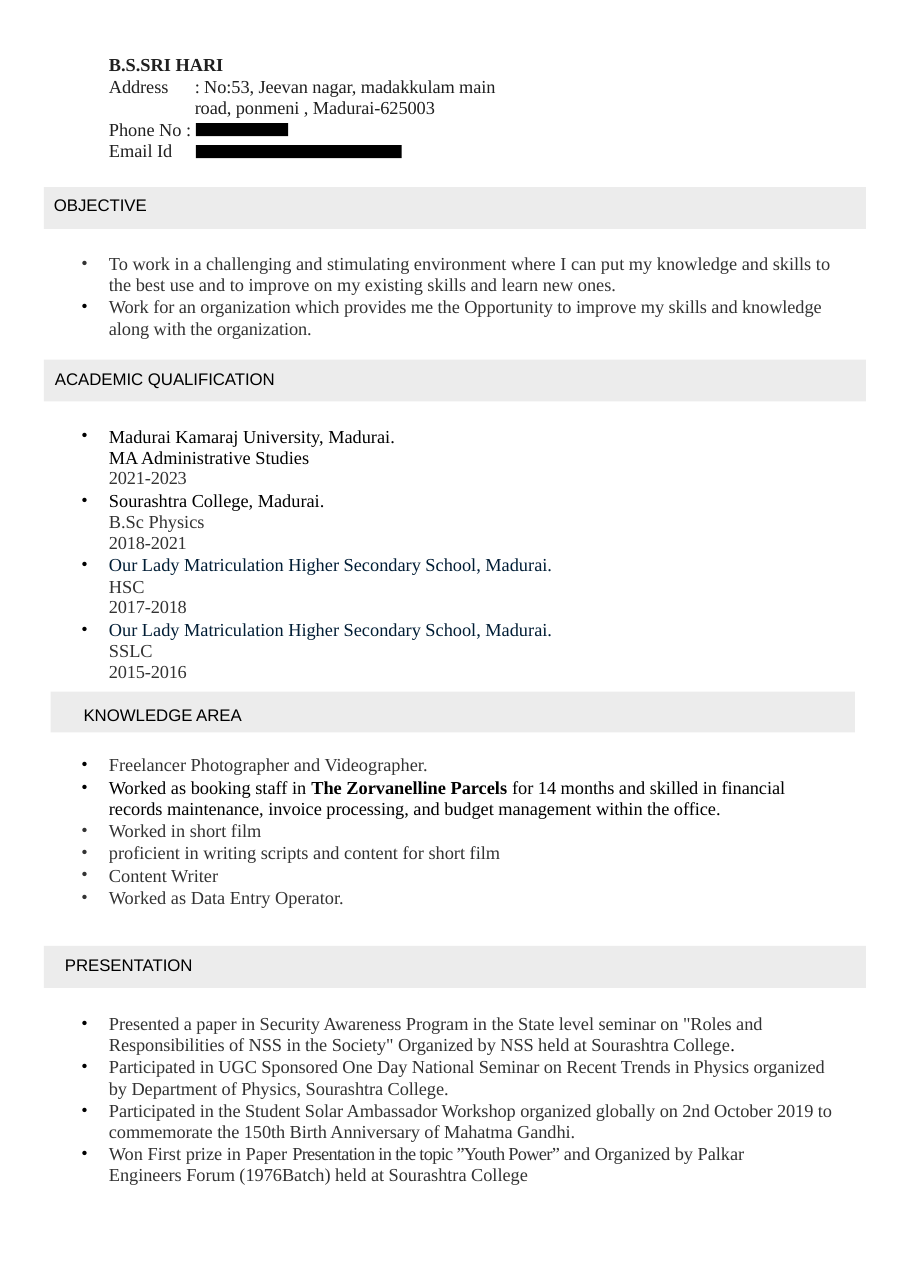
from dataclasses import dataclass

from lxml.etree import SubElement
from pptx import Presentation
from pptx.dml.color import RGBColor
from pptx.enum.shapes import MSO_SHAPE
from pptx.enum.text import MSO_ANCHOR, PP_ALIGN
from pptx.oxml.ns import qn
from pptx.util import Inches, Pt

BLACK = RGBColor(0x00, 0x00, 0x00)
INK = RGBColor(0x20, 0x20, 0x20)
GREY = RGBColor(0x33, 0x33, 0x33)
NAVY = RGBColor(0x00, 0x1D, 0x35)
BAND = RGBColor(0xEC, 0xEC, 0xEC)


@dataclass
class Run:
    """A piece of text with its own look."""
    text: str
    color: RGBColor = GREY
    tracking: float = 0
    bold: bool = False


@dataclass
class Line:
    """A paragraph: its runs, spacing in points and indents in inches."""
    runs: list
    bullet: RGBColor = None
    spacing: float = 13.8
    before: float = 0
    margin: float = 0.26
    hanging: float = 0
    tab: float = None


class Resume:
    """Draws resume parts at percentages of the slide's size."""

    def __init__(self, presentation):
        """Add the blank page to draw on."""
        self.width = presentation.slide_width
        self.height = presentation.slide_height
        self.slide = presentation.slides.add_slide(presentation.slide_layouts[6])

    def place(self, left, top, width, height):
        """Turn percentages into lengths."""
        return (int(self.width * left / 100), int(self.height * top / 100),
                int(self.width * width / 100), int(self.height * height / 100))

    def bar(self, area, color):
        """Add a plain filled rectangle."""
        shape = self.slide.shapes.add_shape(MSO_SHAPE.RECTANGLE, *self.place(*area))
        shape.shadow.inherit = False
        shape.fill.solid()
        shape.fill.fore_color.rgb = color
        shape.line.fill.background()
        return shape

    def frame(self, shape, inset):
        """Prepare the text frame of a shape."""
        frame = shape.text_frame
        frame.word_wrap = True
        frame.vertical_anchor = MSO_ANCHOR.TOP
        frame.margin_left = frame.margin_right = frame.margin_bottom = 0
        frame.margin_top = Inches(inset)
        return frame

    def add_run(self, paragraph, run, font_name, size):
        """Write one run, breaking the line at each newline."""
        for index, text in enumerate(run.text.split("\n")):
            if index:
                paragraph.add_line_break()
            piece = paragraph.add_run()
            piece.text = text
            font = piece.font
            font.name, font.size, font.bold = font_name, Pt(size), run.bold
            font.color.rgb = run.color
            if run.tracking:
                font._element.set("spc", str(round(run.tracking * 100)))

    def heading(self, title, area, inset, indent):
        """Add a section band with its title."""
        paragraph = self.frame(self.bar(area, BAND), inset).paragraphs[0]
        paragraph.alignment = PP_ALIGN.LEFT
        paragraph._p.get_or_add_pPr().set("marL", str(Inches(indent)))
        self.add_run(paragraph, Run(title, BLACK, -0.05), "Arial", 11)

    def text(self, lines, area, inset=0.03):
        """Add a text box with one paragraph for each line."""
        box = self.slide.shapes.add_textbox(*self.place(*area))
        frame = self.frame(box, inset)
        for index, line in enumerate(lines):
            paragraph = frame.add_paragraph() if index else frame.paragraphs[0]
            paragraph.space_before = Pt(line.before)
            if line.spacing:
                paragraph.line_spacing = Pt(line.spacing)
            properties = paragraph._p.get_or_add_pPr()
            hanging = 0.25 if line.bullet is not None else line.hanging
            properties.set("marL", str(Inches(line.margin)))
            properties.set("indent", str(Inches(-hanging)))
            if line.bullet is not None:
                color = SubElement(properties, qn("a:buClr"))
                SubElement(color, qn("a:srgbClr"), val=str(line.bullet))
                SubElement(properties, qn("a:buFont"), typeface="Times New Roman")
                SubElement(properties, qn("a:buChar"), char="•")
            if line.tab:
                tabs = SubElement(properties, qn("a:tabLst"))
                SubElement(tabs, qn("a:tab"), pos=str(Inches(line.tab)), algn="l")
            for run in line.runs:
                self.add_run(paragraph, run, "Times New Roman", 12)


CONTACT = [
    Line([Run("B.S.SRI HARI", INK, bold=True)], spacing=14.1, margin=0.01),
    Line([Run("Address\t: No:53, Jeevan nagar, madakkulam main\n"
              "road, ponmeni , Madurai-625003", INK, -0.05)],
         before=0.7, margin=0.79, hanging=0.78, tab=0.72),
    Line([Run("Phone No :\nEmail Id\t:", INK)], margin=0.01, tab=0.71),
]
OBJECTIVE = [
    Line([Run("To work in a challenging and stimulating environment where I can put "
              "my knowledge and skills to\nthe best use and to improve on my existing "
              "skills and learn new ones.")], GREY),
    Line([Run("Work for an organization which provides me the Opportunity to improve "
              "my skills and knowledge\nalong with the organization.", tracking=-0.05)],
         BLACK, 13.9, 0.8),
]
STUDIES = [
    ("Madurai Kamaraj University, Madurai.", BLACK, "MA Administrative Studies", BLACK, "2021-2023"),
    ("Sourashtra College, Madurai.", BLACK, "B.Sc Physics", GREY, "2018-2021"),
    ("Our Lady Matriculation Higher Secondary School, Madurai.", NAVY, "HSC", GREY, "2017-2018"),
    ("Our Lady Matriculation Higher Secondary School, Madurai.", NAVY, "SSLC", GREY, "2015-2016"),
]
KNOWLEDGE = [
    Line([Run("Freelancer Photographer and Videographer.")], BLACK, None),
    Line([Run("Worked as booking staff in ", BLACK),
          Run("The Zorvanelline Parcels ", BLACK, bold=True),
          Run("for 14 months and skilled in financial\nrecords maintenance, invoice "
              "processing, and budget management within the office.", BLACK, -0.03)],
         BLACK, 13.9, 1.1),
    Line([Run("Worked in short film")], GREY, 14.2),
    Line([Run("proficient in writing scripts and content for short film")], GREY, None, 0.2),
    Line([Run("Content Writer")], GREY, None, 0.2),
    Line([Run("Worked as Data Entry Operator.")], GREY, None, 0.3),
]
PRESENTATIONS = [
    Line([Run("Presented a paper in Security Awareness Program in the State level seminar "
              "on \"Roles and\nResponsibilities of NSS in the Society\" Organized by NSS "
              "held at Sourashtra College", tracking=-0.05), Run(".", BLACK)], BLACK),
    Line([Run("Participated in UGC Sponsored One Day National Seminar on Recent Trends in "
              "Physics organized\nby Department of Physics, Sourashtra College.",
              tracking=-0.06)], BLACK, 13.9, 0.8),
    Line([Run("Participated in the Student Solar Ambassador Workshop organized globally on "
              "2nd October 2019 to\ncommemorate the 150th Birth Anniversary of Mahatma "
              "Gandhi.", tracking=-0.06)], BLACK, before=0.8),
    Line([Run("Won First prize in Paper "),
          Run("Presentation in the topic ”Youth Power” ", tracking=-0.45),
          Run("and Organized by Palkar\nEngineers Forum (1976Batch) held at Sourashtra "
              "College", tracking=-0.03)], BLACK, before=0.8),
]


def main():
    """Build and save the resume."""
    presentation = Presentation()
    presentation.slide_width, presentation.slide_height = Inches(8.28), Inches(11.71)
    resume = Resume(presentation)

    academic = []
    for school, school_color, course, course_color, years in STUDIES:
        academic.append(Line([Run(school + "\n", school_color), Run(course, course_color)],
                             BLACK, before=1.2 if academic else 0))
        academic.append(Line([Run(years, tracking=-0.1)], spacing=13.4))

    resume.text(CONTACT, (11.84, 4.1, 46.5, 8.45), 0.01)
    resume.text(OBJECTIVE, (8.82, 19.39, 82.85, 7))
    resume.text(academic, (8.82, 32.79, 52.05, 20.24))
    resume.text(KNOWLEDGE, (8.82, 58.41, 78.99, 12.3), 0.01)
    resume.text(PRESENTATIONS, (8.82, 78.39, 84.06, 13.75))

    for title, top, inset, indent in [("OBJECTIVE", 14.52, 0.07, 0.09),
                                      ("ACADEMIC QUALIFICATION", 27.92, 0.08, 0.1),
                                      ("PRESENTATION", 73.44, 0.08, 0.19)]:
        resume.heading(title, (4.83, top, 90.22, 3.25), inset, indent)
    resume.heading("KNOWLEDGE AREA", (5.56, 53.71, 88.29, 3.16), 0.12, 0.3)

    for top, width in [(9.56, 10.14), (11.27, 22.58)]:
        resume.bar((21.5, top, width, 1.02), BLACK)
    presentation.save("out.pptx")


if __name__ == "__main__":
    main()
